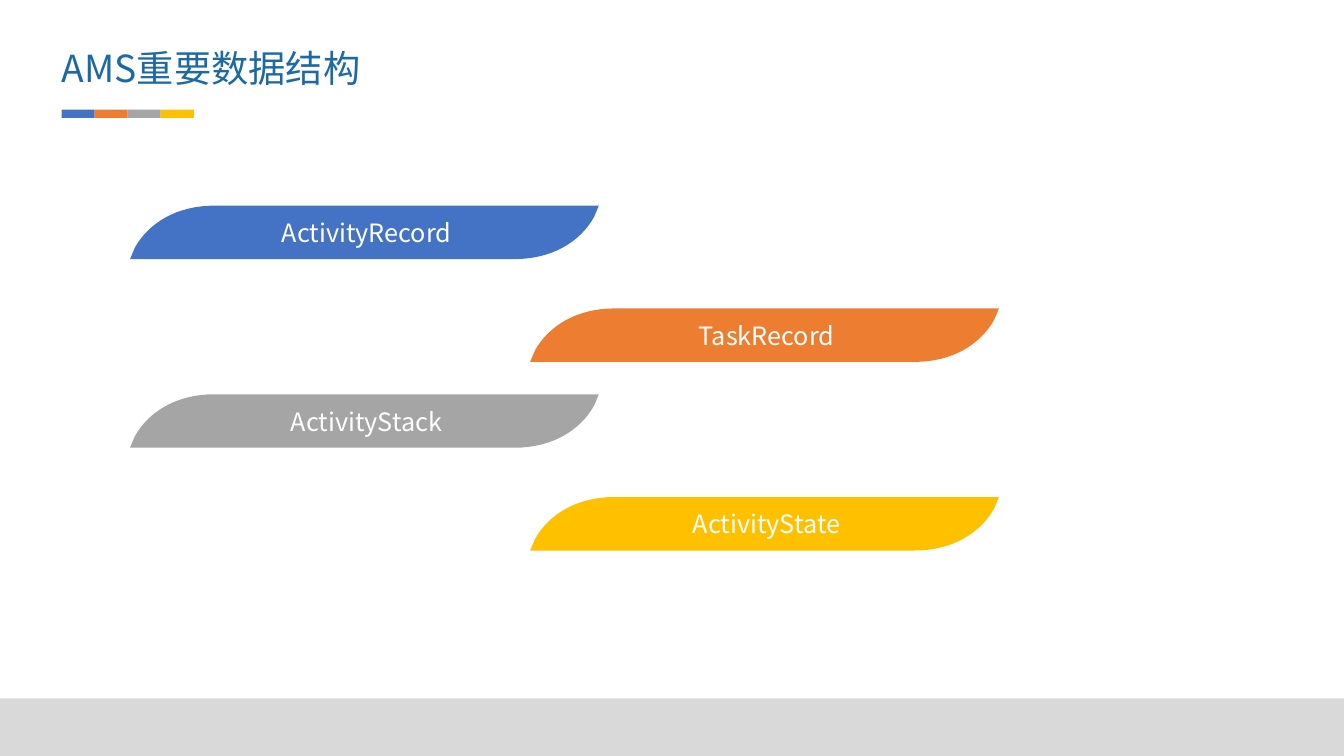
import dataclasses

import pptx
import pptx.dml.color
import pptx.enum.shapes
import pptx.enum.text
import pptx.util
from lxml import etree


@dataclasses.dataclass(frozen=True)
class Theme:
    font: str = "Noto Sans CJK SC"
    title_size: float = 26.6
    label_size: float = 18
    title: str = "1D69A3"
    label: str = "FFFFFF"
    footer: str = "D9D9D9"
    accents: tuple = ("4472C4", "ED7D31", "A5A5A5", "FFC000")


THEME = Theme()
WIDTH = pptx.util.Inches(13.33)
HEIGHT = pptx.util.Inches(7.5)
LEFT_MARGIN = 4.58
SWATCH_WIDTH = 2.46
LEAF_WIDTH, LEAF_HEIGHT = 34.88, 7.07
LEAF_COLUMNS = (9.68, 39.45)
FIRST_LEAF_TOP, PAIR_PITCH, STAGGER = 27.2, 24.95, 13.6
LEAF_CURVE = ((0.99, 0.21), (0.96, 0.68), (0.9, 1), (0.82, 1))
CURVE_STEPS = 16
STRUCTURES = ("ActivityRecord", "TaskRecord", "ActivityStack", "ActivityState")


def across(percent):
    return round(WIDTH * percent / 100)


def down(percent):
    return round(HEIGHT * percent / 100)


def paint(shape, color):
    shape.shadow.inherit = False
    shape.fill.solid()
    shape.fill.fore_color.rgb = pptx.dml.color.RGBColor.from_string(color)
    shape.line.fill.background()


def write(frame, text, size, color, margins):
    frame.word_wrap = True
    frame.margin_left, frame.margin_top, frame.margin_right, frame.margin_bottom = map(
        pptx.util.Inches, margins)
    paragraph = frame.paragraphs[0]
    paragraph.text = text
    font = paragraph.runs[0].font
    font.name = THEME.font
    font.size = pptx.util.Pt(size)
    font.color.rgb = pptx.dml.color.RGBColor.from_string(color)
    east_asian = etree.SubElement(
        paragraph.runs[0].font._element, pptx.oxml.ns.qn("a:ea"))
    east_asian.set("typeface", THEME.font)
    return paragraph


def add_bar(slide, left, top, width, height, color):
    bar = slide.shapes.add_shape(
        pptx.enum.shapes.MSO_SHAPE.RECTANGLE,
        across(left), down(top), across(width), down(height))
    paint(bar, color)


def add_title(slide, text):
    title = slide.shapes.add_textbox(across(LEFT_MARGIN), down(6), across(47.5), down(6))
    write(title.text_frame, text, THEME.title_size, THEME.title, (0, 0, 0, 0))
    title.text_frame.auto_size = pptx.enum.text.MSO_AUTO_SIZE.SHAPE_TO_FIT_TEXT


def curve_point(t):
    weights = ((1 - t) ** 3, 3 * t * (1 - t) ** 2, 3 * t * t * (1 - t), t ** 3)
    return tuple(
        sum(weight * point[axis] for weight, point in zip(weights, LEAF_CURVE))
        for axis in (0, 1))


def leaf_outline():
    right_end = [(1, 0)] + [curve_point(step / CURVE_STEPS) for step in range(CURVE_STEPS + 1)]
    return right_end + [(1 - x, 1 - y) for x, y in right_end]


def add_leaf(slide, left, top, color, label):
    corners = [
        (across(left + x * LEAF_WIDTH), down(top + y * LEAF_HEIGHT))
        for x, y in leaf_outline()]
    builder = slide.shapes.build_freeform(*corners[0])
    builder.add_line_segments(corners[1:], close=True)
    leaf = builder.convert_to_shape()
    paint(leaf, color)
    caption = write(
        leaf.text_frame, label, THEME.label_size, THEME.label, (0.24, 0.05, 0.2, 0.05))
    caption.alignment = pptx.enum.text.PP_ALIGN.CENTER
    leaf.text_frame.vertical_anchor = pptx.enum.text.MSO_ANCHOR.MIDDLE


def main():
    deck = pptx.Presentation()
    deck.slide_width, deck.slide_height = WIDTH, HEIGHT
    slide = deck.slides.add_slide(deck.slide_layouts[6])
    add_bar(slide, 0, 92.4, 100, 7.6, THEME.footer)
    add_title(slide, "AMS重要数据结构")
    for index, color in enumerate(THEME.accents):
        add_bar(slide, LEFT_MARGIN + index * SWATCH_WIDTH, 14.5, SWATCH_WIDTH, 1.1, color)
    for index, (color, structure) in enumerate(zip(THEME.accents, STRUCTURES)):
        pair, column = divmod(index, len(LEAF_COLUMNS))
        top = FIRST_LEAF_TOP + pair * PAIR_PITCH + column * STAGGER
        add_leaf(slide, LEAF_COLUMNS[column], top, color, structure)
    deck.save("out.pptx")


if __name__ == "__main__":
    main()
